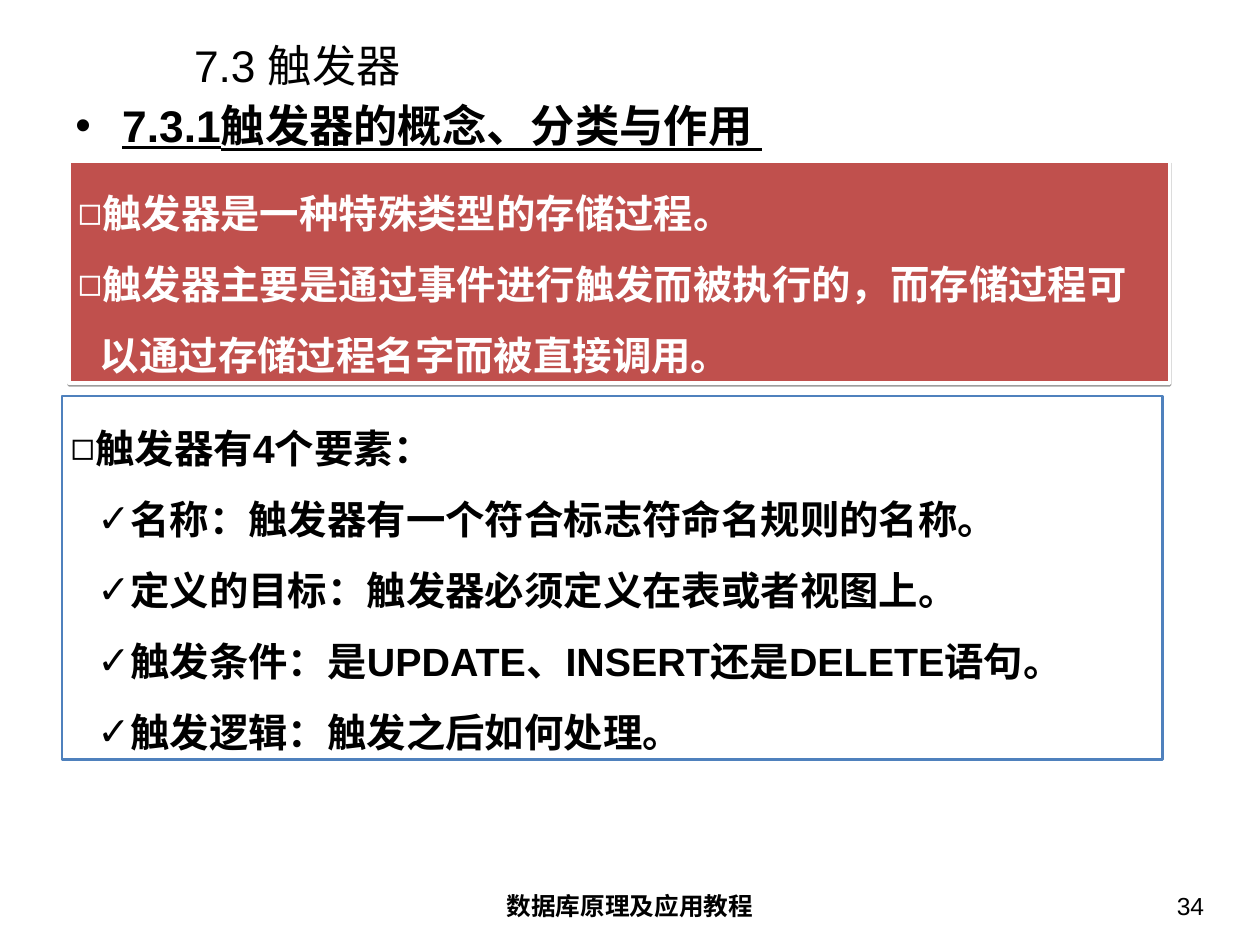
from dataclasses import dataclass
from typing import Optional

from lxml import etree
from pptx import Presentation
from pptx import util as u
from pptx.dml.color import RGBColor
from pptx.enum import shapes, text
from pptx.oxml.ns import qn


@dataclass(frozen=True)
class Theme:
    font: str = "Arial"
    black: str = "000000"
    white: str = "FFFFFF"
    red: str = "C0504D"
    blue: str = "4F81BD"
    heading: int = 36
    body: int = 32
    footer: int = 20


THEME = Theme()


@dataclass(frozen=True)
class Bullet:
    char: str
    margin: float
    hanging: float


HEADING_DOT = Bullet("•", 0.53, 0.53)
SQUARE = Bullet("◻", 0.25, 0.25)
CHECK = Bullet("✓", 0.5, 0.2)


@dataclass(frozen=True)
class Line:
    words: str
    bullet: Optional[Bullet] = None
    level: int = 0


@dataclass(frozen=True)
class Style:
    size: int
    color: str = THEME.black
    bold: bool = False
    underline: bool = False
    align: text.PP_ALIGN = text.PP_ALIGN.LEFT
    anchor: text.MSO_ANCHOR = text.MSO_ANCHOR.TOP
    before: float = 0
    spacing: float = 1.0
    inset: tuple[float, float] = (0.14, 0.07)


@dataclass(frozen=True)
class Block:
    box: tuple[float, float, float, float]
    lines: tuple[Line, ...]
    style: Style


@dataclass(frozen=True)
class Panel(Block):
    fill: str
    outline: str
    weight: float
    shadow: bool = False


def add_bullet(paragraph, bullet: Bullet, color: str) -> None:
    props = paragraph._p.get_or_add_pPr()
    props.set("marL", str(u.Inches(bullet.margin)))
    props.set("indent", str(-u.Inches(bullet.hanging)))
    tint = etree.SubElement(props, qn("a:buClr"))
    etree.SubElement(tint, qn("a:srgbClr"), val=color)
    etree.SubElement(props, qn("a:buFont"), typeface=THEME.font)
    etree.SubElement(props, qn("a:buChar"), char=bullet.char)


def write_lines(frame, lines: tuple[Line, ...], style: Style) -> None:
    frame.word_wrap = True
    frame.vertical_anchor = style.anchor
    frame.margin_left = frame.margin_right = u.Inches(style.inset[0])
    frame.margin_top = frame.margin_bottom = u.Inches(style.inset[1])
    frame.text = "\n".join(line.words for line in lines)
    for paragraph, line in zip(frame.paragraphs, lines):
        paragraph.alignment = style.align
        paragraph.level = line.level
        paragraph.line_spacing = style.spacing
        paragraph.space_before = u.Pt(style.before)
        if line.bullet:
            add_bullet(paragraph, line.bullet, style.color)
        for run in paragraph.runs:
            run.font.name = THEME.font
            run.font.size = u.Pt(style.size)
            run.font.bold = style.bold
            run.font.underline = style.underline
            run.font.color.rgb = RGBColor.from_string(style.color)


def add_shadow(shape) -> None:
    effects = shape._element.spPr.find(qn("a:effectLst"))
    outer = etree.SubElement(effects, qn("a:outerShdw"), blurRad="0",
                             dist=str(u.Pt(1.6)), dir="5400000", rotWithShape="0")
    tint = etree.SubElement(outer, qn("a:srgbClr"), val=THEME.black)
    etree.SubElement(tint, qn("a:alpha"), val="38000")


def draw_text(slide, block: Block) -> None:
    label = slide.shapes.add_textbox(*map(u.Inches, block.box))
    write_lines(label.text_frame, block.lines, block.style)


def draw_panel(slide, panel: Panel) -> None:
    card = slide.shapes.add_shape(shapes.MSO_SHAPE.RECTANGLE, *map(u.Inches, panel.box))
    card.shadow.inherit = False
    card.fill.solid()
    card.fill.fore_color.rgb = RGBColor.from_string(panel.fill)
    card.line.color.rgb = RGBColor.from_string(panel.outline)
    card.line.width = u.Pt(panel.weight)
    if panel.shadow:
        add_shadow(card)
    write_lines(card.text_frame, panel.lines, panel.style)


# Title, section heading and footer
TEXTS = (
    Block((2.05, 0.45, 11.83, 0.57), (Line("7.3 触发器"),),
          Style(THEME.heading, anchor=text.MSO_ANCHOR.MIDDLE)),
    Block((0.71, 1.04, 12.8, 0.89), (Line("7.3.1触发器的概念、分类与作用 ", HEADING_DOT),),
          Style(THEME.heading, bold=True, underline=True, before=9)),
    Block((4.86, 9.98, 4.5, 0.55), (Line("数据库原理及应用教程"),),
          Style(THEME.footer, bold=True, align=text.PP_ALIGN.CENTER)),
    Block((10.41, 9.98, 3.32, 0.55), (Line("34"),),
          Style(THEME.footer, align=text.PP_ALIGN.RIGHT)),
)

# Definition panel and elements panel
PANELS = (
    Panel((0.78, 1.82, 12.42, 2.5), (
        Line("触发器是一种特殊类型的存储过程。", SQUARE),
        Line("触发器主要是通过事件进行触发而被执行的，而存储过程可以通过存储过程名字而被直接调用。", SQUARE),
    ), Style(THEME.body, THEME.white, bold=True, spacing=1.5, inset=(0.1, 0.05)),
        THEME.red, THEME.white, 3, shadow=True),
    Panel((0.7, 4.47, 12.42, 4.1), (
        Line("触发器有4个要素：", SQUARE),
        Line("名称：触发器有一个符合标志符命名规则的名称。", CHECK, 1),
        Line("定义的目标：触发器必须定义在表或者视图上。", CHECK, 1),
        Line("触发条件：是UPDATE、INSERT还是DELETE语句。", CHECK, 1),
        Line("触发逻辑：触发之后如何处理。", CHECK, 1),
    ), Style(THEME.body, bold=True, spacing=1.5, inset=(0.1, 0.05)),
        THEME.white, THEME.blue, 2),
)


def main() -> None:
    deck = Presentation()
    deck.slide_width, deck.slide_height = u.Inches(14.22), u.Inches(10.66)
    slide = deck.slides.add_slide(deck.slide_layouts[6])
    for block in TEXTS:
        draw_text(slide, block)
    for panel in PANELS:
        draw_panel(slide, panel)
    deck.save("out.pptx")


if __name__ == "__main__":
    main()
